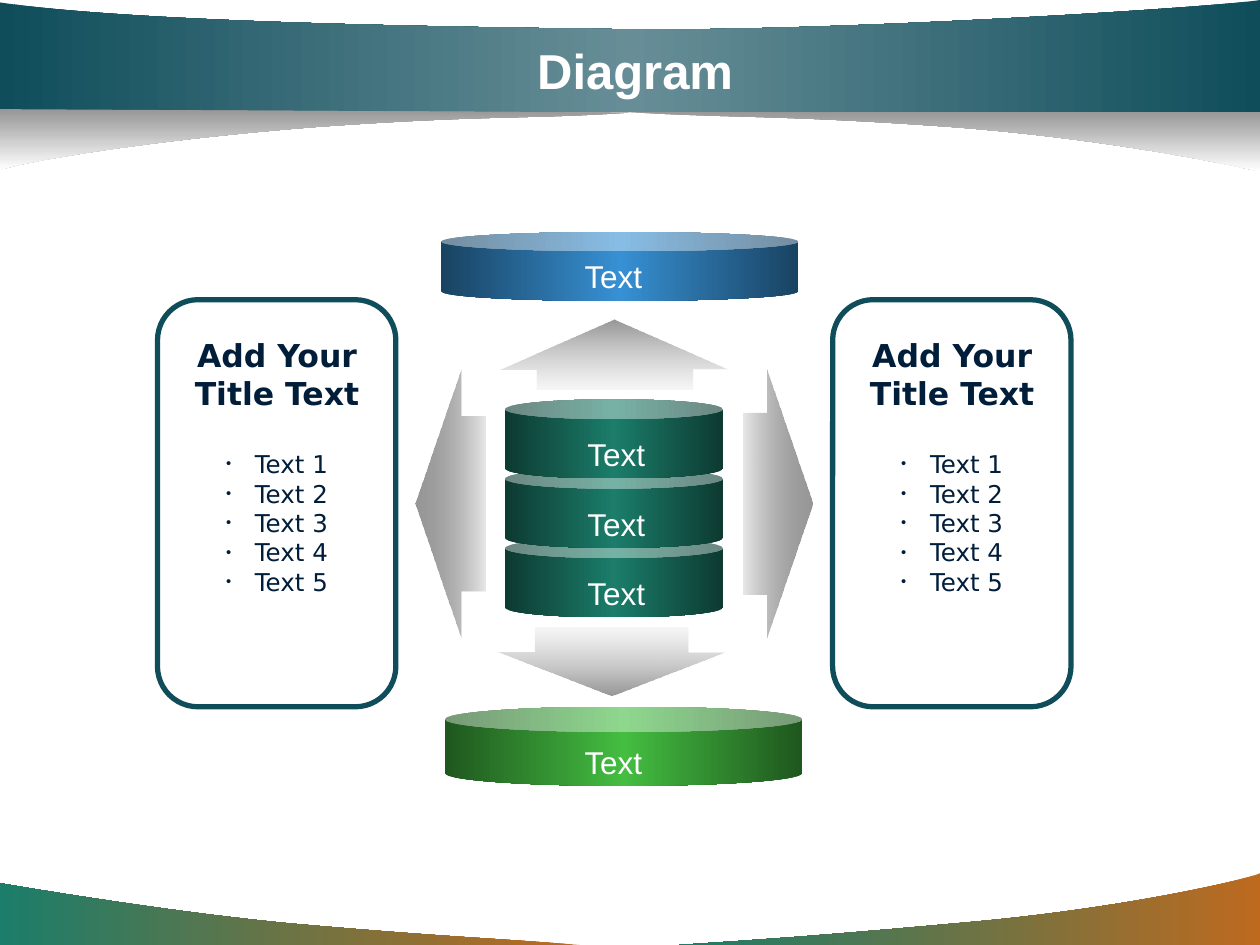
from lxml import etree
from pptx import Presentation
from pptx.dml.color import RGBColor
from pptx.enum.shapes import MSO_SHAPE
from pptx.enum.text import MSO_ANCHOR, PP_ALIGN
from pptx.oxml.ns import qn
from pptx.util import Pt

CAN = MSO_SHAPE.CAN
CENTER = PP_ALIGN.CENTER
TOP, MIDDLE = MSO_ANCHOR.TOP, MSO_ANCHOR.MIDDLE

WHITE = RGBColor(0xFF, 0xFF, 0xFF)
NAVY = RGBColor(0x00, 0x1D, 0x3A)
PETROL = RGBColor(0x0F, 0x4D, 0x5B)
PETROL_LIGHT = RGBColor(0x67, 0x8E, 0x97)
ORANGE = RGBColor(0xBD, 0x6A, 0x1F)
TEAL = RGBColor(0x1B, 0x7D, 0x6A)
TEAL_DARK = RGBColor(0x0D, 0x3A, 0x31)
BLUE = RGBColor(0x37, 0x90, 0xD3)
BLUE_DARK = RGBColor(0x19, 0x43, 0x62)
GREEN = RGBColor(0x44, 0xBD, 0x41)
GREEN_DARK = RGBColor(0x1F, 0x57, 0x1E)
GRAY = RGBColor(0x96, 0x96, 0x96)
GRAY_DARK = RGBColor(0x45, 0x45, 0x45)
GRAY_LIGHT = RGBColor(0xBC, 0xBC, 0xBC)

LABEL = {"name": "Arial", "size": Pt(18), "bold": False}
TITLE = {"name": "Arial", "size": Pt(28), "bold": True}
HEADING = {"name": "DejaVu Sans", "size": Pt(18), "bold": True}
ITEM = {"name": "DejaVu Sans", "size": Pt(14), "bold": False}

deck = Presentation()
deck.slide_width, deck.slide_height = Pt(720), Pt(540)
page = deck.slides.add_slide(deck.slide_layouts[6])
shapes = page.shapes


def paint(shape, stops, angle):
    """Fill with evenly spaced (colour, opacity %) stops, without line or shadow."""
    shape.shadow.inherit = False
    shape.line.fill.background()
    shape.fill.gradient()
    shape.fill.gradient_angle = angle
    stop_list = next(shape.element.iter(qn("a:gsLst")))
    for old_stop in list(stop_list):
        stop_list.remove(old_stop)
    for index, (color, opacity) in enumerate(stops):
        position = str(100000 * index // (len(stops) - 1))
        stop = etree.SubElement(stop_list, qn("a:gs"), pos=position)
        fill = etree.SubElement(stop, qn("a:srgbClr"), val=str(color))
        if opacity < 100:
            etree.SubElement(fill, qn("a:alpha"), val=str(opacity * 1000))


def write(place, lines, color, anchor=TOP, wrap=True):
    """Add a centred text box from (text, format, bulleted, space before) lines."""
    box = shapes.add_textbox(*map(Pt, place))
    frame = box.text_frame
    frame.word_wrap, frame.vertical_anchor = wrap, anchor
    for index, (text, style, bulleted, gap) in enumerate(lines):
        para = frame.paragraphs[0] if index == 0 else frame.add_paragraph()
        para.alignment = CENTER
        if gap:
            para.space_before = Pt(gap)
        if bulleted:
            layout = para._p.get_or_add_pPr()
            layout.set("marL", str(Pt(16.5)))
            layout.set("indent", str(Pt(-16.5)))
            bullet_color = etree.SubElement(layout, qn("a:buClr"))
            etree.SubElement(bullet_color, qn("a:srgbClr"), val=str(color))
            etree.SubElement(layout, qn("a:buSzPct"), val="60000")
            etree.SubElement(layout, qn("a:buFont"), typeface="Arial")
            etree.SubElement(layout, qn("a:buChar"), char="•")
        span = para.add_run()
        span.text = text
        span.font.color.rgb = color
        for name, value in style.items():
            setattr(span.font, name, value)


# Curved bands: start, Bezier curves, closing corners, gradient, angle
WARM = [(ORANGE, 100), (TEAL, 100)]
SHADE = [(GRAY, 100), (WHITE, 100)]
HEADER = [(PETROL, 100), (PETROL_LIGHT, 100), (PETROL, 100)]
bands = [
    ((331.2, 540),
     [((276.5, 535.7), (257.8, 535.7), (167, 527.8)),
      ((90.7, 520.6), (0.7, 504.7), (0, 504.7))],
     [(0, 540)], WARM, 180),
    ((388.1, 540),
     [((442.1, 536.4), (465.1, 535), (553.7, 527)),
      ((642.2, 519.1), (712.8, 502.6), (720, 499))],
     [(720, 540)], WARM, 180),
    ((360, 64.1),
     [((420.5, 67.7), (446.4, 65.5), (545.8, 72.7)),
      ((646.6, 80.6), (718.6, 97.9), (720, 97.9))],
     [(720, 63.4)], SHADE, 270),
    ((720, 0),
     [((694.1, 4.3), (470.2, 18.7), (350.6, 16.6)),
      ((231.1, 15.1), (72.7, 12.2), (0, 1.4))],
     [(0, 64.1), (720, 64.1)], HEADER, 180),
    ((360, 64.4),
     [((299.5, 68.4), (279.4, 65.5), (179.3, 72.7)),
      ((79.2, 80.6), (7.9, 93.6), (0, 97.2))],
     [(0, 62.4)], SHADE, 270),
]
for start, curves, corners, stops, angle in bands:
    ends = [curve[-1] for curve in curves] + corners
    builder = shapes.build_freeform(Pt(start[0]), Pt(start[1]))
    builder.add_line_segments([(Pt(x), Pt(y)) for x, y in ends], close=True)
    band = builder.convert_to_shape()
    # Bend the first segments into Bezier curves
    segments = list(band.element.iter(qn("a:lnTo")))
    for segment, curve in zip(segments, curves):
        bend = etree.Element(qn("a:cubicBezTo"))
        for x, y in curve:
            etree.SubElement(bend, qn("a:pt"), x=str(Pt(x) - band.left), y=str(Pt(y) - band.top))
        segment.getparent().replace(segment, bend)
    paint(band, stops, angle)

# Title
write((54, 17.6, 617.8, 44.6), [("Diagram", TITLE, False, 0)], WHITE, MIDDLE)

# Cans, the central stack from bottom to top, then their labels
STACK_STEP = 39.7
cans = [((288.6, 228.2 + STACK_STEP * level, 124.6, 45.2), 0.25, TEAL_DARK, TEAL)
        for level in (2, 1, 0)]
cans += [((252, 132.6, 204.3, 39.4), 0.279, BLUE_DARK, BLUE),
         ((254.2, 403.8, 204.3, 45.3), 0.32, GREEN_DARK, GREEN)]
for place, lid, edge, middle in cans:
    can = shapes.add_shape(CAN, *map(Pt, place))
    can.adjustments[0] = lid
    paint(can, [(edge, 100), (middle, 100), (edge, 100)], 180)

labels = [(327.6, 245.1 + STACK_STEP * level) for level in range(3)]
labels += [(326, 143.3), (326, 421.2)]
for left, top in labels:
    write((left, top, 49, 28.8), [("Text", LABEL, False, 0)], WHITE, wrap=False)

# Arrows pointing away from the stack
arrows = [
    (MSO_SHAPE.LEFT_ARROW, (237.4, 211.3, 40, 152.8), (0.656, 0.652),
     [(GRAY_DARK, 12), (GRAY, 100)], 180),
    (MSO_SHAPE.RIGHT_ARROW, (424.6, 211.3, 39.8, 152.8), (0.677, 0.662),
     [(GRAY, 100), (GRAY_DARK, 12)], 180),
    (MSO_SHAPE.UP_ARROW, (286.1, 182.8, 130.3, 39.8), (0.684, 0.708),
     [(GRAY, 100), (GRAY_LIGHT, 12)], 270),
    (MSO_SHAPE.DOWN_ARROW, (284.4, 358.4, 130.3, 39.2), (0.671, 0.641),
     [(GRAY_LIGHT, 12), (GRAY, 100)], 270),
]
for kind, place, (shaft, head), stops, angle in arrows:
    arrow = shapes.add_shape(kind, *map(Pt, place))
    arrow.adjustments[0], arrow.adjustments[1] = shaft, head
    paint(arrow, stops, angle)

# Side panels
panel_lines = [("Add Your", HEADING, False, 0), ("Title Text", HEADING, False, 0)]
panel_lines += [(f"Text {number}", ITEM, True, 21.6 if number == 1 else 0)
                for number in range(1, 6)]
for left in (90, 475.8):
    panel = shapes.add_shape(MSO_SHAPE.ROUNDED_RECTANGLE, Pt(left), Pt(171.3), Pt(136.2), Pt(232.6))
    panel.adjustments[0] = 0.17
    panel.shadow.inherit = False
    panel.fill.background()
    panel.line.color.rgb = PETROL
    panel.line.width = Pt(3)
    write((left + 6, 188.4, 124.6, 156.2), panel_lines, NAVY)

deck.save("out.pptx")
